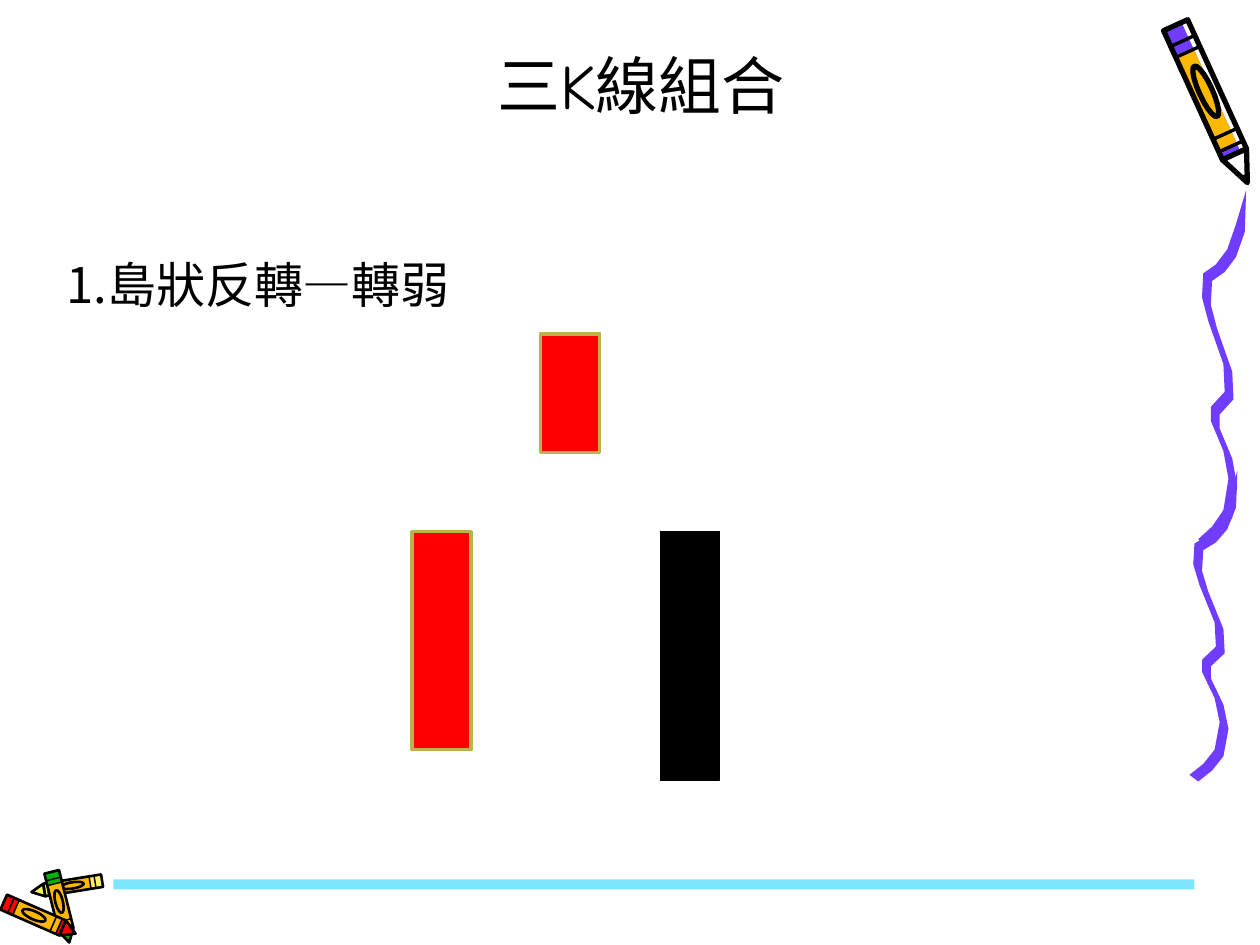
from dataclasses import dataclass
from math import cos, hypot, pi, sin

from lxml import etree
from pptx import Presentation
from pptx.dml.color import RGBColor
from pptx.enum.shapes import MSO_SHAPE
from pptx.enum.text import MSO_ANCHOR, PP_ALIGN
from pptx.oxml.ns import qn
from pptx.util import Inches, Pt

RECT = MSO_SHAPE.RECTANGLE
BOTTOM = MSO_ANCHOR.BOTTOM
CENTER = PP_ALIGN.CENTER
BLACK = RGBColor(0x00, 0x00, 0x00)
WHITE = RGBColor(0xFF, 0xFF, 0xFF)
RED = RGBColor(0xFF, 0x00, 0x00)
OLIVE = RGBColor(0xBD, 0xB1, 0x4B)
PURPLE = RGBColor(0x70, 0x3D, 0xFF)
ORANGE = RGBColor(0xFF, 0xB8, 0x00)
YELLOW = RGBColor(0xFF, 0xEF, 0x66)
GREEN = RGBColor(0x00, 0xB2, 0x00)
SKY = RGBColor(0x00, 0xCC, 0xFF)

SHAFT_END = 0.82
LEAD_START = 0.95
BANDS = (0.09, 0.16, 0.68, 0.76)
RIBBON_SHIFT = (-0.07, -0.06)
RIBBON_BENDS = [(0.34, 0.33), (0.27, 0.53), (0.18, 0.65), (0.08, 0.72), (0.07, 0.91),
                (0.12, 1.1), (0.24, 1.44), (0.25, 1.66), (0.14, 1.78), (0.14, 1.89),
                (0.24, 2.13), (0.28, 2.35), (0.24, 2.6), (0.15, 2.73), (0.04, 2.83)]


@dataclass
class Crayon:
    """A crayon in inches, from the middle of its blunt end to its tip."""

    blunt: tuple
    tip: tuple
    width: float
    cap: RGBColor
    point: RGBColor
    outline: float
    paint_edge: float = -0.5

    def at(self, along, across):
        """Turn shares of the length and width into a position."""
        (x0, y0), (x1, y1) = self.blunt, self.tip
        dx, dy = x1 - x0, y1 - y0
        side = across * self.width / hypot(dx, dy)
        return x0 + along * dx - side * dy, y0 + along * dy + side * dx


PENCIL = Crayon((0.33, 0.2), (0.9, 1.45), 0.21, PURPLE, WHITE, 3, paint_edge=-0.25)
CRAYONS = [
    Crayon((0.81, 0.09), (0.25, 0.18), 0.1, YELLOW, YELLOW, 1.5),
    Crayon((0.41, 0.02), (0.55, 0.58), 0.12, GREEN, GREEN, 1.5),
    Crayon((0.03, 0.26), (0.6, 0.51), 0.13, RED, RED, 1.5),
]


def paint(s, color=None, line=None, width=0.75):
    """Give a shape a plain fill and outline, each left out when None."""
    s.shadow.inherit = False
    if color is None:
        s.fill.background()
    else:
        s.fill.solid()
        s.fill.fore_color.rgb = color
    if line is None:
        s.line.fill.background()
    else:
        s.line.color.rgb = line
        s.line.width = Pt(width)


def add_polygon(slide, left, top, points, **formats):
    """Draw a closed outline of points given in inches from a corner."""
    corners = [(left + Inches(x), top + Inches(y)) for x, y in points]
    builder = slide.shapes.build_freeform(*corners[0], scale=1.0)
    builder.add_line_segments(corners[1:], close=True)
    paint(builder.convert_to_shape(), **formats)


def add_crayon(slide, left, top, crayon):
    """Draw the shaft, paint, bands, oval and point of a crayon."""

    def part(shares, **formats):
        points = [crayon.at(*share) for share in shares]
        add_polygon(slide, left, top, points, **formats)

    def strip(start, end, low=-0.5, high=0.5, **formats):
        part([(start, low), (end, low), (end, high), (start, high)], **formats)

    def oval(middle, length, height, turns=20):
        angles = [2 * pi * i / turns for i in range(turns)]
        return [(middle + length / 2 * cos(a), height / 2 * sin(a)) for a in angles]

    edge = {"line": BLACK, "width": crayon.outline}
    strip(0, SHAFT_END, color=WHITE)
    strip(0, SHAFT_END, low=crayon.paint_edge, color=crayon.cap)
    strip(BANDS[1], BANDS[-1], low=crayon.paint_edge, color=ORANGE)
    for band in BANDS:
        strip(band, band + 0.02, color=BLACK)
    part(oval(0.42, 0.32, 0.5), line=BLACK, width=crayon.outline)
    strip(0, SHAFT_END, **edge)
    part([(SHAFT_END, -0.5), (1, 0), (SHAFT_END, 0.5)], color=crayon.point, **edge)
    part([(LEAD_START, -0.12), (1, 0), (LEAD_START, 0.12)], color=BLACK)


def add_ribbon(slide, left, top, stretch):
    """Draw a wavy ribbon: one edge, and the same edge shifted back."""
    dx, dy = RIBBON_SHIFT
    back = [(x + dx, y + dy) for x, y in reversed(RIBBON_BENDS)]
    outline = [(0.35, 0)] + RIBBON_BENDS + back
    points = [(x, y * stretch) for x, y in outline]
    add_polygon(slide, left, top, points, color=PURPLE)


def add_side_art(slide, left, top):
    """Draw the pencil and the two ribbons trailing from it."""
    for x, y, stretch in [(0.47, 3.74, 0.87), (0.54, 1.51, 1)]:
        add_ribbon(slide, left + Inches(x), top + Inches(y), stretch)
    add_crayon(slide, left, top, PENCIL)


def add_footer(slide, left, top, width, height):
    """Draw the crayons and the half-transparent bar beside them."""
    bar_left, bar_top = Inches(0.9), Inches(0.08)
    s = slide.shapes.add_shape(RECT, left + bar_left, top + bar_top,
                               width - bar_left, height)
    paint(s, SKY)
    color = s._element.spPr.find(qn("a:solidFill"))[0]
    etree.SubElement(color, qn("a:alpha"), val="50000")
    for crayon in CRAYONS:
        add_crayon(slide, left, top, crayon)


def add_run(p, text, **formats):
    """Append a black run with the given font attributes."""
    r = p.add_run()
    r.text = text
    r.font.color.rgb = BLACK
    for name, value in formats.items():
        setattr(r.font, name, value)


def add_title(slide, left, top, width, height):
    """Place and format the title placeholder."""
    s = slide.shapes.title
    s.left, s.top, s.width, s.height = left, top, width, height
    tf = s.text_frame
    tf.vertical_anchor = BOTTOM
    p = tf.paragraphs[0]
    p.alignment = CENTER
    add_run(p, "三K線組合", size=Pt(36), name="Comic Neue")


def add_pattern_name(slide, left, top, width, height):
    """Write the name of the candlestick pattern."""
    tf = slide.shapes.add_textbox(left, top, width, height).text_frame
    tf.word_wrap = True
    p = tf.paragraphs[0]
    for text, font in [("1.島狀反轉—", "Noto Sans CJK SC"), ("轉弱", "Times New Roman")]:
        add_run(p, text, size=Pt(28), name=font)


def add_candles(slide, left, top):
    """Draw the three candlesticks of the island reversal."""
    rising = {"color": RED, "line": OLIVE, "width": 2}
    falling = {"color": BLACK, "line": BLACK}
    candles = [(0, 1.57, 1.73, rising), (1.02, 0, 0.94, rising),
               (1.97, 1.57, 1.97, falling)]
    for x, y, height, formats in candles:
        s = slide.shapes.add_shape(RECT, left + Inches(x), top + Inches(y),
                                   Inches(0.47), Inches(height))
        paint(s, **formats)


def main():
    """Build the slide and save it."""
    prs = Presentation()
    prs.slide_width, prs.slide_height = Inches(10), Inches(7.5)
    slide = prs.slides.add_slide(prs.slide_layouts[5])
    add_side_art(slide, Inches(9), Inches(0))
    add_footer(slide, Inches(0), Inches(6.9), Inches(9.48), Inches(0.08))
    add_title(slide, Inches(1.18), Inches(0.13), Inches(7.82), Inches(0.89))
    add_pattern_name(slide, Inches(0.43), Inches(1.97), Inches(4.8), Inches(0.57))
    add_candles(slide, Inches(3.27), Inches(2.65))
    prs.save("out.pptx")


if __name__ == "__main__":
    main()
